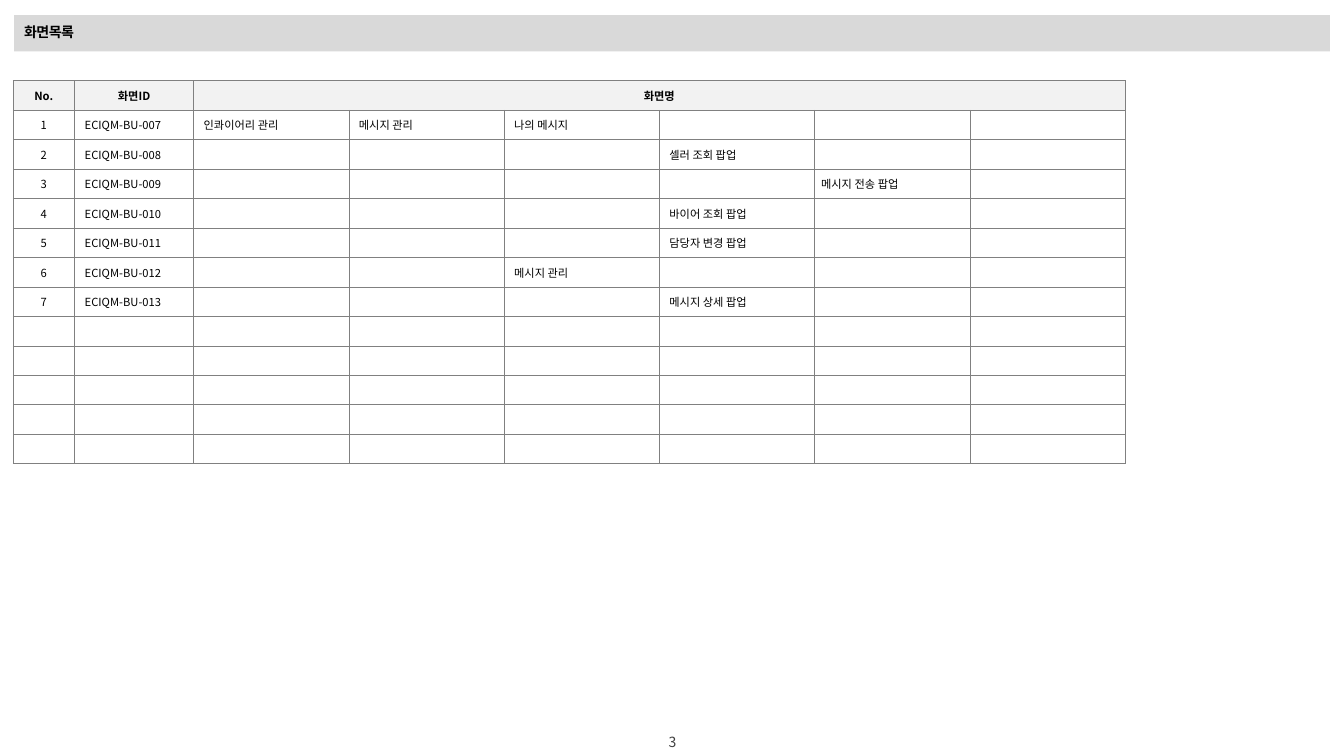
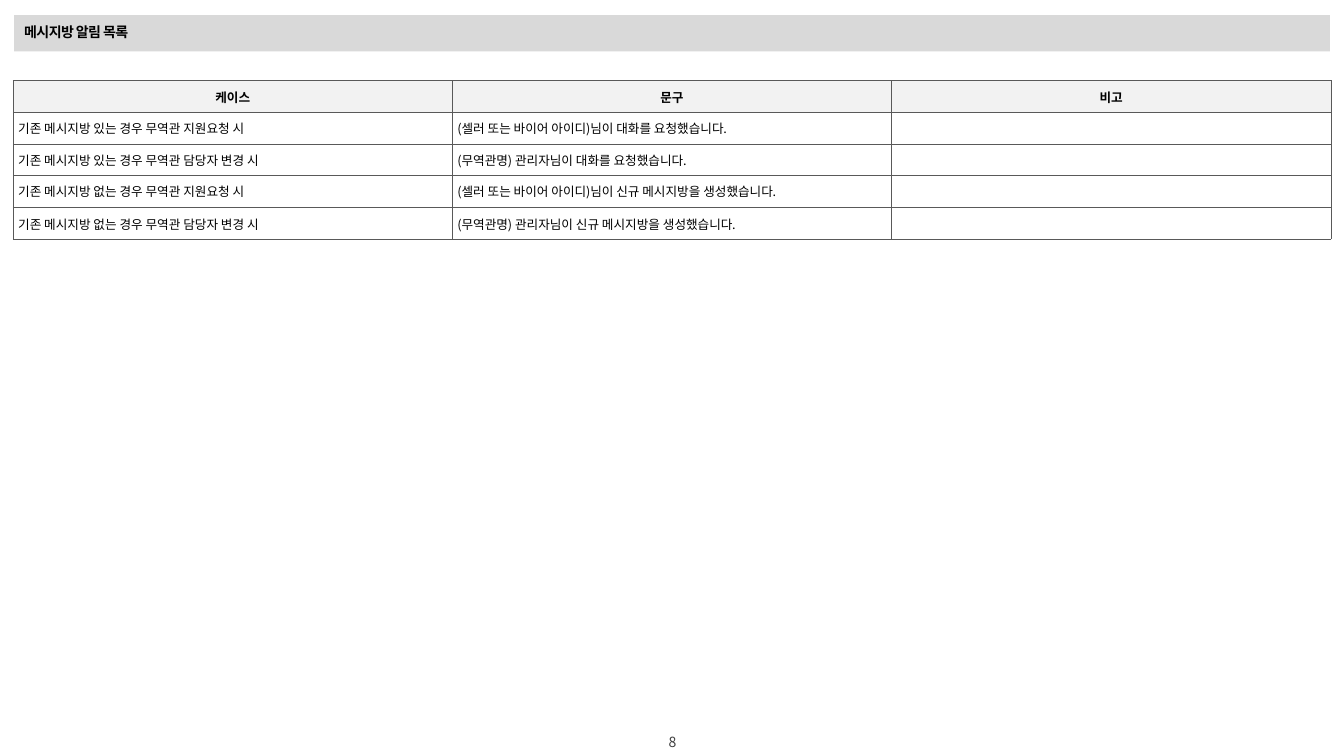
from lxml import etree
from pptx import Presentation
from pptx.dml.color import RGBColor
from pptx.enum.text import MSO_ANCHOR, MSO_AUTO_SIZE, PP_ALIGN
from pptx.oxml.ns import qn
from pptx.util import Inches, Pt

LEFT, CENTER = PP_ALIGN.LEFT, PP_ALIGN.CENTER
MIDDLE = MSO_ANCHOR.MIDDLE
NO_FIT = MSO_AUTO_SIZE.NONE
TITLE_ONLY = 5
FONT = "Noto Sans CJK KR"
COLORS = {
    "text": "000000",
    "page": "404040",
    "band": "D9D9D9",
    "header": "F2F2F2",
    "body": "FFFFFF",
    "screen_border": "808080",
    "notice_border": "595959",
}
TITLE_BOX = (0.14, 0.15, 13.05, 0.36)
PAGE_BOX = (6.48, 7.23, 0.38, 0.27)
SCREEN_BOX = (0.13, 0.8, 11.03, 3.8)
NOTICE_BOX = (0.13, 0.8, 13.07, 1.57)

SCREEN_ROWS = 13
SCREEN_LEVELS = 6
FIRST_SCREEN = 7
# Each screen lists its menu path and the level at which that path starts.
SCREENS = [
    (0, ["인콰이어리 관리", "메시지 관리", "나의 메시지"]),
    (3, ["셀러 조회 팝업"]),
    (4, [" 메시지 전송 팝업"]),
    (3, ["바이어 조회 팝업"]),
    (3, ["담당자 변경 팝업"]),
    (2, ["메시지 관리"]),
    (3, ["메시지 상세 팝업"]),
]
NOTICES = [
    ["케이스", "문구", "비고"],
    ["기존 메시지방 있는 경우 무역관 지원요청 시",
     "(셀러 또는 바이어 아이디)님이 대화를 요청했습니다.", ""],
    ["기존 메시지방 있는 경우 무역관 담당자 변경 시",
     "(무역관명) 관리자님이 대화를 요청했습니다.", ""],
    ["기존 메시지방 없는 경우 무역관 지원요청 시",
     "(셀러 또는 바이어 아이디)님이 신규 메시지방을 생성했습니다.", ""],
    ["기존 메시지방 없는 경우 무역관 담당자 변경 시",
     "(무역관명) 관리자님이 신규 메시지방을 생성했습니다.", ""],
]


def color(name):
    """Return the named colour."""
    return RGBColor.from_string(COLORS[name])


def to_lengths(box):
    """Turn a box in inches into lengths."""
    return [Inches(value) for value in box]


def write_text(frame, text, size=10, bold=False, color_name="text",
               align=LEFT, line_spacing=None, tracking=None):
    """Write one formatted paragraph into a text frame."""
    paragraph = frame.paragraphs[0]
    paragraph.alignment = align
    paragraph.line_spacing = line_spacing
    if not text:
        # The end mark sets the line height of an empty cell.
        paragraph._p.get_or_add_endParaRPr().set("sz", str(size * 100))
        return
    run = paragraph.add_run()
    run.text = text
    run.font.name = FONT
    run.font.size = Pt(size)
    run.font.bold = bold
    run.font.color.rgb = color(color_name)
    properties = run.font._element
    etree.SubElement(properties, qn("a:ea")).set("typeface", FONT)
    if tracking is not None:
        properties.set("spc", str(round(tracking * 100)))


def add_title(slide, box, text):
    """Turn the title placeholder into the grey heading band."""
    title = slide.shapes.title
    title.left, title.top, title.width, title.height = to_lengths(box)
    title.fill.solid()
    title.fill.fore_color.rgb = color("band")
    frame = title.text_frame
    frame.vertical_anchor = MIDDLE
    frame.auto_size = NO_FIT
    write_text(frame, text, bold=True, line_spacing=0.9, tracking=-0.4)


def add_page_number(slide, box, number):
    """Add the centred page number."""
    frame = slide.shapes.add_textbox(*to_lengths(box)).text_frame
    frame.word_wrap = False
    frame.vertical_anchor = MIDDLE
    write_text(frame, str(number), color_name="page", align=CENTER)


def add_base_slide(presentation, title, number):
    """Add a slide with the shared heading band and page number."""
    slide = presentation.slides.add_slide(
        presentation.slide_layouts[TITLE_ONLY])
    add_title(slide, TITLE_BOX, title)
    add_page_number(slide, PAGE_BOX, number)
    return slide


def set_borders(cell, color_name):
    """Draw a thin line on all four sides of a cell."""
    properties = cell._tc.get_or_add_tcPr()
    for position, side in enumerate(("lnL", "lnR", "lnT", "lnB")):
        line = etree.Element(qn("a:" + side), w=str(Pt(0.25)))
        fill = etree.SubElement(line, qn("a:solidFill"))
        etree.SubElement(fill, qn("a:srgbClr"), val=COLORS[color_name])
        properties.insert(position, line)


def add_grid(slide, box, rows, widths, border, size, inset,
             centered=(), spaced_rows=()):
    """Add a table of equal rows with a header, and return it."""
    table = slide.shapes.add_table(
        len(rows), len(widths), *to_lengths(box)).table
    table.horz_banding = False
    for column, width in zip(table.columns, widths):
        column.width = Inches(width)
    for row_index, values in enumerate(rows):
        table.rows[row_index].height = Inches(box[3] / len(rows))
        header = row_index == 0
        for column_index, value in enumerate(values):
            cell = table.cell(row_index, column_index)
            cell.fill.solid()
            cell.fill.fore_color.rgb = color("header" if header else "body")
            set_borders(cell, border)
            cell.vertical_anchor = MIDDLE
            cell.margin_left = cell.margin_right = Inches(inset)
            cell.margin_top = cell.margin_bottom = Inches(0.05)
            write_text(
                cell.text_frame, value, size=size, bold=header,
                align=CENTER if header or column_index in centered else LEFT,
                line_spacing=1.1 if row_index in spaced_rows else None)
    return table


def screen_rows():
    """Return the header, the numbered screens and the spare rows."""
    rows = [["No.", "화면ID", "화면명"] + [""] * (SCREEN_LEVELS - 1)]
    for index, (level, names) in enumerate(SCREENS):
        levels = [""] * level + names
        levels += [""] * (SCREEN_LEVELS - len(levels))
        screen_id = f"ECIQM-BU-{FIRST_SCREEN + index:03}"
        rows.append([str(index + 1), screen_id] + levels)
    spare = SCREEN_ROWS - len(rows)
    return rows + [[""] * (SCREEN_LEVELS + 2) for _ in range(spare)]


def add_screen_table(slide, box):
    """Add the list of screens by menu level."""
    fixed = [0.61, 1.18]
    level_width = (box[2] - sum(fixed)) / SCREEN_LEVELS
    table = add_grid(slide, box, screen_rows(),
                     fixed + [level_width] * SCREEN_LEVELS,
                     "screen_border", size=8, inset=0.1, centered=(0,))
    table.cell(0, 2).merge(table.cell(0, SCREEN_LEVELS + 1))
    table.cell(3, 6).margin_left = Inches(0.04)


def add_notice_table(slide, box):
    """Add the list of message room notices."""
    columns = len(NOTICES[0])
    add_grid(slide, box, NOTICES, [box[2] / columns] * columns,
             "notice_border", size=9, inset=0.05,
             spaced_rows=(0, len(NOTICES) - 1))


def main():
    """Build and save the presentation."""
    presentation = Presentation()
    presentation.slide_width = Inches(13.33)
    presentation.slide_height = Inches(7.5)
    add_screen_table(add_base_slide(presentation, "화면목록", 3), SCREEN_BOX)
    add_notice_table(
        add_base_slide(presentation, "메시지방 알림 목록", 8), NOTICE_BOX)
    presentation.save("out.pptx")


main()
